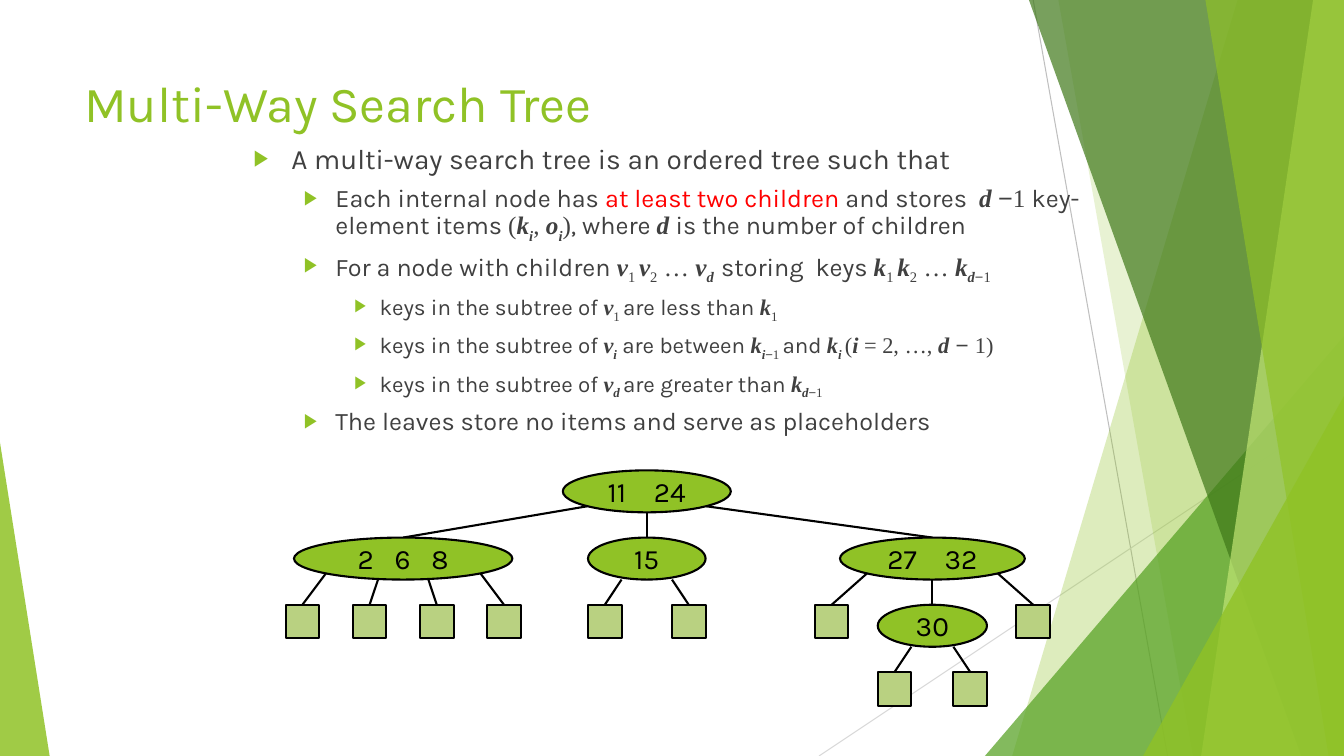
from dataclasses import dataclass

from lxml.etree import SubElement
from pptx import Presentation
from pptx.dml.color import RGBColor
from pptx.enum.shapes import MSO_CONNECTOR as Connector, MSO_SHAPE as Shape
from pptx.enum.text import MSO_ANCHOR as Anchor, PP_ALIGN as Align
from pptx.oxml.ns import qn
from pptx.util import Pt

COLORS = {
    "green": "90C226", "lime": "C0E474", "forest": "3F7819", "grass": "54A021",
    "leaf": "B9D181", "text": "404040", "red": "FF0000", "black": "000000",
    "rule": "BFBFBF", "pale rule": "D9D9D9",
}
SANS, SERIF, SIGN = "Karla", "Times New Roman", "Arial"
TREE_TOP, ROW_PITCH, NODE_HEIGHT, LEAF_SIZE = 336, 48, 30, 24
DIAGONAL = 0.354

LEVELS = [(20, 27, -27), (18, 58.5, -22.5), (16, 90, -18)]
STYLES = {
    "plain": (SANS, False, 0), "red": (SANS, False, 0),
    "var": (SERIF, True, 0), "num": (SERIF, False, 0), "minus": (SIGN, False, 0),
    "var sub": (SERIF, True, -25), "num sub": (SERIF, False, -25),
    "minus sub": (SIGN, False, -25),
}
LAST_KEY = [("k", "var"), ("d", "var sub"), ("−", "minus sub"), ("1", "num sub")]
SUBTREE = ("keys in the subtree of ", "plain")
OUTLINE = [
    (0, [("A multi-way search tree is an ordered tree such that", "plain")]),
    (1, [("Each internal node has ", "plain"), ("at least two children ", "red"),
         ("and stores  ", "plain"), ("d ", "var"), ("−", "minus"), ("1 ", "num"),
         ("key-element items ", "plain"), ("(", "num"), ("k", "var"),
         ("i", "var sub"), (", ", "num"), ("o", "var"), ("i", "var sub"),
         (")", "num"), (", where ", "plain"), ("d ", "var"),
         ("is the number of children", "plain")]),
    (1, [("For a node with children ", "plain"), ("v", "var"), ("1 ", "num sub"),
         ("v", "var"), ("2", "num sub"), (" … ", "num"), ("v", "var"),
         ("d  ", "var sub"), ("storing  keys ", "plain"), ("k", "var"),
         ("1 ", "num sub"), ("k", "var"), ("2", "num sub"), (" … ", "num"),
         *LAST_KEY]),
    (2, [SUBTREE, ("v", "var"), ("1 ", "num sub"), ("are less than ", "plain"),
         ("k", "var"), ("1", "num sub")]),
    (2, [SUBTREE, ("v", "var"), ("i", "var sub"), (" are between ", "plain"),
         ("k", "var"), ("i", "var sub"), ("−", "minus sub"), ("1 ", "num sub"),
         ("and ", "plain"), ("k", "var"), ("i ", "var sub"), ("(", "num"),
         ("i", "var"), (" = 2, …, ", "num"), ("d", "var"), (" − ", "minus"),
         ("1)", "num")]),
    (2, [SUBTREE, ("v", "var"), ("d ", "var sub"), ("are greater than ", "plain"),
         *LAST_KEY]),
    (1, [("The leaves store no items and serve as placeholders", "plain")]),
]

BANDS = [
    ([(884, 0), (960, 0), (960, 540), (723, 540)], "green", 30),
    ([(756, 0), (960, 0), (960, 540), (852, 540)], "green", 20),
    ([(735, 0), (960, 0), (960, 540), (929.5, 540)], "forest", 70),
    ([(938, 0), (960, 0), (960, 540), (858, 540)], "lime", 70),
    ([(861, 0), (960, 0), (960, 540), (949, 540)], "green", 65),
]
TRIANGLES = [
    ((703.5, 240, 256.5, 300), 1, "grass", 72),
    ((816.5, 283, 143.5, 257), 1, "green", 80),
    ((0, 316, 35.5, 224), 0, "green", 85),
]


@dataclass
class Node:
    center: float
    width: float = LEAF_SIZE
    keys: tuple = ()
    key_gap: float = 0
    children: tuple = ()
    exits: tuple = ()


def leaves(*centers):
    return tuple(Node(center) for center in centers)


TREE = Node(462, 120, ("11", "24"), 15, (
    Node(288, 156, ("2", "6", "8"), 10, leaves(216, 264, 312, 360),
         ("left", -18, 18, "right")),
    Node(462, 84, ("15",), 0, leaves(432, 492), (-18, 18)),
    Node(666, 132, ("27", "32"), 15, (
        Node(594),
        Node(666, 78, ("30",), 0, leaves(639, 693), (-15, 15)),
        Node(738),
    ), ("left", 0, "right")),
), ("left", 0, "right"))


def rgb(name):
    return RGBColor.from_string(COLORS[name])


def paint(shape, color, opacity=100, outlined=False):
    shape.shadow.inherit = False
    shape.fill.solid()
    shape.fill.fore_color.rgb = rgb(color)
    if opacity < 100:
        tint = shape.fill._xPr.find(f".//{qn('a:srgbClr')}")
        SubElement(tint, qn("a:alpha"), val=str(opacity * 1000))
    if outlined:
        shape.line.color.rgb = rgb("black")
        shape.line.width = Pt(1.5)
    else:
        shape.line.fill.background()


def add_line(page, start, end, color="black", width=1.5):
    ends = [Pt(value) for value in (*start, *end)]
    line = page.shapes.add_connector(Connector.STRAIGHT, *ends)
    line.line.color.rgb = rgb(color)
    line.line.width = Pt(width)
    SubElement(line._element.spPr, qn("a:effectLst"))


def add_band(page, corners, color, opacity):
    points = [(Pt(x), Pt(y)) for x, y in corners]
    builder = page.shapes.build_freeform(*points[0], scale=1.0)
    builder.add_line_segments(points[1:], close=True)
    paint(builder.convert_to_shape(), color, opacity)


def add_triangle(page, frame, apex, color, opacity):
    triangle = page.shapes.add_shape(
        Shape.ISOSCELES_TRIANGLE, *[Pt(value) for value in frame])
    triangle.adjustments[0] = apex
    paint(triangle, color, opacity)


def add_backdrop(page):
    add_line(page, (738, 0), (834, 540), "rule", 0.75)
    add_line(page, (960, 290), (585, 540), "pale rule", 0.75)
    for band in BANDS[:2]:
        add_band(page, *band)
    add_triangle(page, *TRIANGLES[0])
    for band in BANDS[2:]:
        add_band(page, *band)
    for triangle in TRIANGLES[1:]:
        add_triangle(page, *triangle)


def set_title(page, text):
    title = page.shapes.title
    title.left, title.top, title.width, title.height = (
        Pt(53), Pt(48), Pt(677), Pt(104))
    frame = title.text_frame
    frame.text = text
    frame.vertical_anchor = Anchor.TOP
    para = frame.paragraphs[0]
    para.alignment = Align.LEFT
    font = para.runs[0].font
    font.name, font.size, font.color.rgb = SANS, Pt(36), rgb("green")


def add_bullet(para, margin, indent):
    props = para._p.get_or_add_pPr()
    props.set("marL", str(Pt(margin)))
    props.set("indent", str(Pt(indent)))
    color = SubElement(props, qn("a:buClr"))
    SubElement(color, qn("a:srgbClr"), val=COLORS["green"])
    SubElement(props, qn("a:buSzPct"), val="80000")
    SubElement(props, qn("a:buFont"), typeface=SIGN)
    SubElement(props, qn("a:buChar"), char="▶")


def add_span(para, text, style, size):
    span = para.add_run()
    span.text = text
    font = span.font
    font.name, slanted, baseline = STYLES[style]
    font.size, font.bold, font.italic = Pt(size), slanted, slanted
    font.color.rgb = rgb("red" if style == "red" else "text")
    if baseline:
        font._element.set("baseline", str(baseline * 1000))


def add_outline(page, items):
    box = page.shapes.add_textbox(Pt(174), Pt(102), Pt(636), Pt(216))
    frame = box.text_frame
    frame.word_wrap = True
    for index, (level, spans) in enumerate(items):
        para = frame.add_paragraph() if index else frame.paragraphs[0]
        size, margin, indent = LEVELS[level]
        para.level = level
        add_bullet(para, margin, indent)
        para.line_spacing = 0.8
        para.space_before = Pt(10 if index else 0)
        for text, style in spans:
            add_span(para, text, style, size)


def write_keys(shape, keys, gap):
    frame = shape.text_frame
    frame.word_wrap = False
    frame.vertical_anchor = Anchor.MIDDLE
    para = frame.paragraphs[0]
    para.alignment = Align.CENTER
    for piece in " | ".join(keys).replace(" | ", "| |").split("|"):
        span = para.add_run()
        span.text = piece
        font = span.font
        font.name, font.size, font.color.rgb = SANS, Pt(20), rgb("black")
        if piece == " ":
            font._element.set("spc", str(gap * 100))


def add_node(page, node, top=TREE_TOP):
    kind, height, color = (
        (Shape.OVAL, NODE_HEIGHT, "green") if node.keys
        else (Shape.RECTANGLE, LEAF_SIZE, "leaf"))
    shape = page.shapes.add_shape(
        kind, Pt(node.center - node.width / 2), Pt(top), Pt(node.width), Pt(height))
    paint(shape, color, outlined=True)
    if node.keys:
        write_keys(shape, node.keys, node.key_gap)
    side = DIAGONAL * node.width
    corners = {"left": -side, "right": side}
    for child, exit_point in zip(node.children, node.exits):
        reach = corners.get(exit_point, exit_point)
        drop = NODE_HEIGHT * (0.5 + DIAGONAL) if exit_point in corners else NODE_HEIGHT
        add_line(page, (node.center + reach, top + drop),
                 (child.center, top + ROW_PITCH))
        add_node(page, child, top + ROW_PITCH)


def main():
    deck = Presentation()
    deck.slide_width, deck.slide_height = Pt(960), Pt(540)
    page = deck.slides.add_slide(deck.slide_layouts[5])
    add_backdrop(page)
    set_title(page, "Multi-Way Search Tree")
    add_outline(page, OUTLINE)
    add_node(page, TREE)
    deck.save("out.pptx")


if __name__ == "__main__":
    main()
